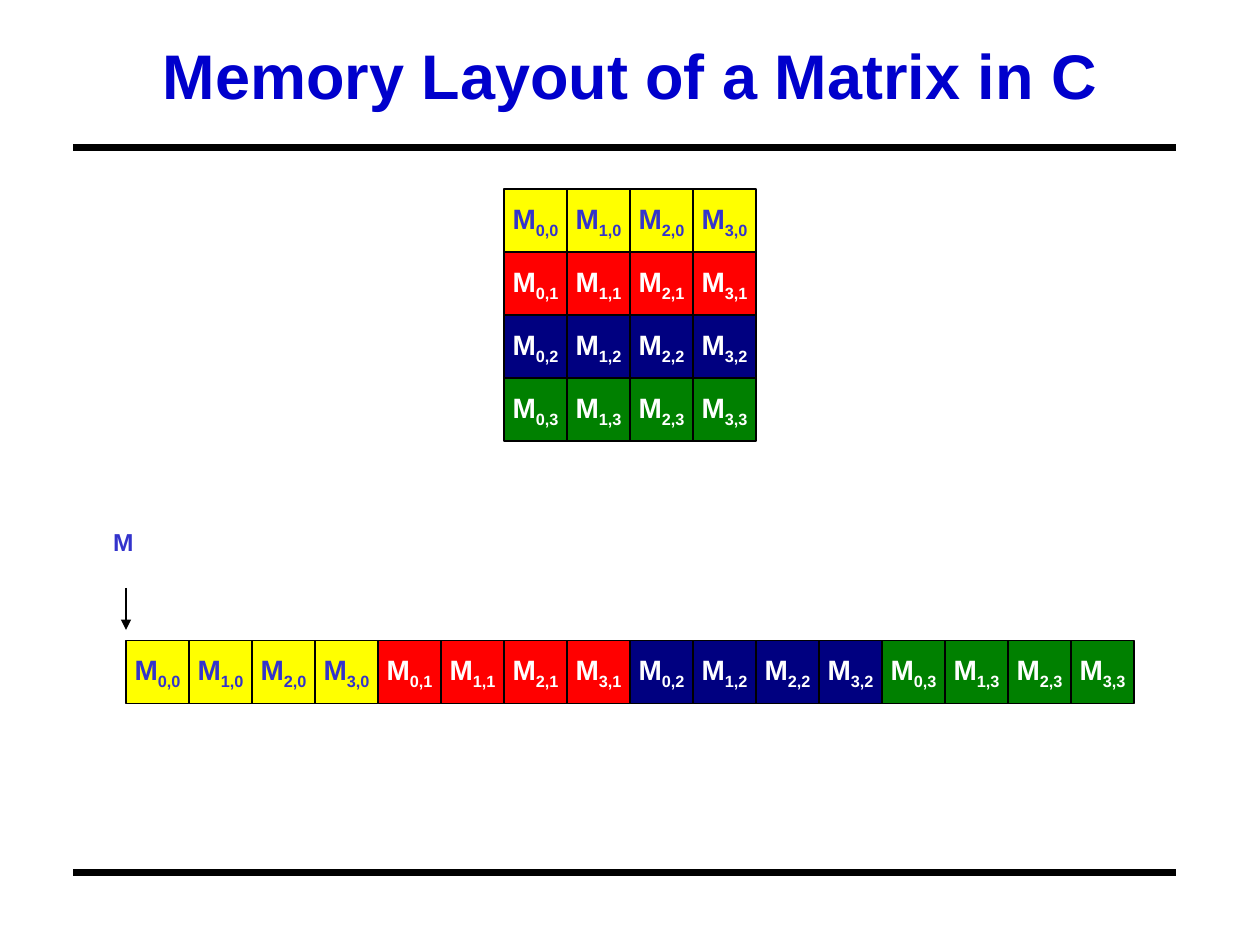
from pptx import Presentation
from pptx.dml.color import RGBColor
from pptx.enum.shapes import MSO_CONNECTOR, MSO_SHAPE
from pptx.enum.text import MSO_ANCHOR, MSO_AUTO_SIZE, PP_ALIGN
from pptx.oxml.ns import qn
from pptx.util import Cm, Pt
from lxml.etree import SubElement

BLACK = RGBColor(0x00, 0x00, 0x00)
WHITE = RGBColor(0xFF, 0xFF, 0xFF)
BLUE = RGBColor(0x00, 0x00, 0xCC)
INDIGO = RGBColor(0x33, 0x33, 0xCC)
YELLOW = RGBColor(0xFF, 0xFF, 0x00)
RED = RGBColor(0xFF, 0x00, 0x00)
NAVY = RGBColor(0x00, 0x00, 0x80)
GREEN = RGBColor(0x00, 0x80, 0x00)

SIDE = 1.27  # edge of a matrix cell, in cm
ROWS = [(YELLOW, INDIGO), (RED, WHITE), (NAVY, WHITE), (GREEN, WHITE)]
COLS = 4


def write(frame, text, sub="", size=16, color=WHITE, align=PP_ALIGN.CENTER,
          anchor=MSO_ANCHOR.MIDDLE, wrap=False, fit=MSO_AUTO_SIZE.NONE):
    """Fill a text frame with bold text and an optional subscript."""
    frame.word_wrap = wrap
    frame.auto_size = fit
    frame.vertical_anchor = anchor
    para = frame.paragraphs[0]
    para.alignment = align
    for part, base in ((text, None), (sub, "-25000")):
        if not part:
            continue
        run = para.add_run()
        run.text = part
        run.font.name = "Arial"
        run.font.size = Pt(size)
        run.font.bold = True
        run.font.color.rgb = color
        if base:
            run.font._element.set("baseline", base)


class Page:
    def __init__(self, deck):
        self.slide = deck.slides.add_slide(deck.slide_layouts[5])
        self.shapes = self.slide.shapes
        self.thin = Pt(0.75)

    def title(self, text, x, y, w, h):
        box = self.shapes.title
        box.left, box.top, box.width, box.height = Cm(x), Cm(y), Cm(w), Cm(h)
        write(box.text_frame, text, size=36, color=BLUE, wrap=True)

    def line(self, x1, y1, x2, y2, width=None, arrow=False):
        line = self.shapes.add_connector(
            MSO_CONNECTOR.STRAIGHT, Cm(x1), Cm(y1), Cm(x2), Cm(y2))
        line.line.color.rgb = BLACK
        line.line.width = width or self.thin
        if arrow:
            SubElement(line.line._get_or_add_ln(), qn("a:tailEnd"), type="triangle")
        SubElement(line._element.spPr, qn("a:effectLst"))

    def cell(self, x, y, col, row):
        fill, ink = ROWS[row]
        box = self.shapes.add_shape(
            MSO_SHAPE.RECTANGLE, Cm(x), Cm(y), Cm(SIDE), Cm(SIDE))
        box.shadow.inherit = False
        box.fill.solid()
        box.fill.fore_color.rgb = fill
        box.line.color.rgb = BLACK
        box.line.width = self.thin
        write(box.text_frame, "M", sub=f"{col},{row}", color=ink)

    def label(self, text, x, y, w, h):
        box = self.shapes.add_textbox(Cm(x), Cm(y), Cm(w), Cm(h))
        write(box.text_frame, text, size=14, color=INDIGO, align=PP_ALIGN.LEFT,
              anchor=MSO_ANCHOR.TOP, fit=MSO_AUTO_SIZE.SHAPE_TO_FIT_TEXT)


def main():
    deck = Presentation()
    deck.slide_width, deck.slide_height = Cm(25.4), Cm(19.05)
    page = Page(deck)
    for y in (17.58, 2.97):
        page.line(1.48, y, 23.71, y, width=Pt(4))
    page.title("Memory Layout of a Matrix in C", 1.91, 0.64, 21.59, 1.7)

    for row in range(len(ROWS)):
        for col in range(COLS):
            page.cell(10.16 + col * SIDE, 3.81 + row * SIDE, col, row)
            page.cell(2.54 + (row * COLS + col) * SIDE, 12.91, col, row)

    page.line(2.54, 11.85, 2.54, 12.7, arrow=True)
    page.label("M", 2.03, 10.49, 0.91, 0.86)
    deck.save("out.pptx")


if __name__ == "__main__":
    main()
